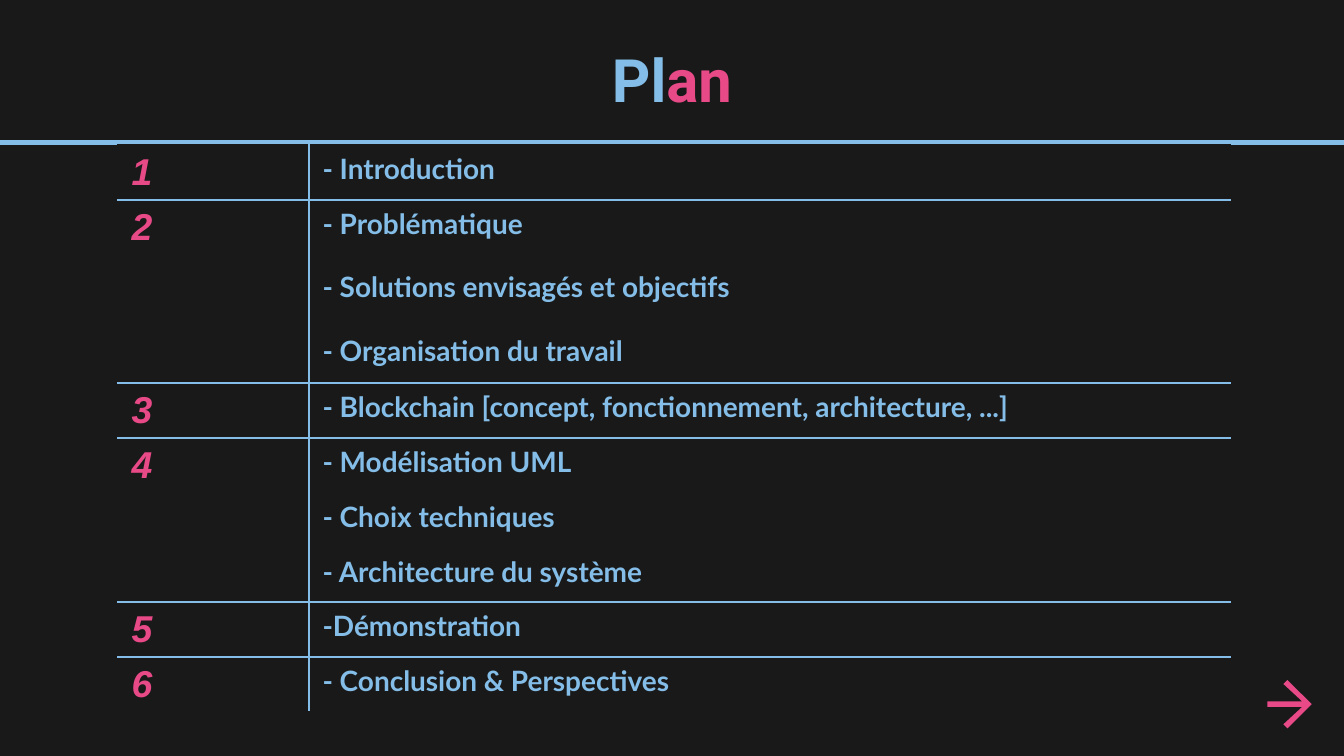
from lxml import etree
from pptx import Presentation
from pptx.dml.color import RGBColor
from pptx.enum.shapes import MSO_CONNECTOR as CONN
from pptx.enum.text import MSO_ANCHOR as ANCHOR, PP_ALIGN as ALIGN
from pptx.oxml.ns import qn
from pptx.util import Inches, Pt

DARK = RGBColor(0x19, 0x19, 0x19)
BLUE = RGBColor(0x84, 0xBD, 0xE7)
PINK = RGBColor(0xE8, 0x49, 0x87)
TITLE = dict(name="Roboto", size=Pt(32), bold=True)
NUMBER = dict(name="Arial", size=Pt(20), bold=True, italic=True)
ENTRY = dict(name="Lato", size=Pt(15), bold=True, italic=False)


def add_run(p, text, color, style):
    r = p.add_run()
    r.text = text
    for key, value in style.items():
        setattr(r.font, key, value)
    r.font.color.rgb = color


def add_border(cell, side, color):
    ln = etree.SubElement(cell._tc.get_or_add_tcPr(), qn(f"a:ln{side}"), w=str(Pt(1.47)))
    fill = etree.SubElement(ln, qn("a:solidFill"))
    etree.SubElement(fill, qn("a:srgbClr"), val=str(color))


# A 16:9 slide
prs = Presentation()
W = Inches(10)
prs.slide_width, prs.slide_height = W, W * 9 // 16
s = prs.slides.add_slide(prs.slide_layouts[5])
s.background.fill.solid()
s.background.fill.fore_color.rgb = DARK

# Rule under the title
rule = s.shapes.add_connector(CONN.STRAIGHT, Inches(-0.02), Inches(1.06), W, Inches(1.06))
rule.line.color.rgb = BLUE
rule.line.width = Pt(2.25)
etree.SubElement(rule._element.spPr, qn("a:effectLst"))

# Title
title = s.shapes.title
title.left, title.top, title.width, title.height = (
    Inches(v) for v in (0.79, 0.32, 8.42, 0.63))
tf = title.text_frame
tf.vertical_anchor = ANCHOR.BOTTOM
for side in ("left", "right", "top", "bottom"):
    setattr(tf, f"margin_{side}", Inches(0.1))
p = tf.paragraphs[0]
p.alignment = ALIGN.CENTER
add_run(p, "Pl", BLUE, TITLE)
add_run(p, "an", PINK, TITLE)

# Plan: row height, gap between entries in points, entries
plan = [
    (0.4, 0, ["- Introduction"]),
    (1.36, 16, ["- Problématique", "- Solutions envisagés et objectifs",
                "- Organisation du travail"]),
    (0.4, 0, ["- Blockchain [concept, fonctionnement, architecture, ...]"]),
    (1.22, 11.4, ["- Modélisation UML", "- Choix techniques",
                  "- Architecture du système"]),
    (0.4, 0, ["-Démonstration"]),
    (0.41, 0, ["- Conclusion & Perspectives"]),
]
cols = [1.42, 6.85]
table = s.shapes.add_table(len(plan), len(cols), Inches(0.88), Inches(1.08),
                           Inches(sum(cols)), Inches(sum(row[0] for row in plan))).table
table.first_row = table.horz_banding = False
for column, width in zip(table.columns, cols):
    column.width = Inches(width)

last = len(plan) - 1
for i, (height, gap, entries) in enumerate(plan):
    table.rows[i].height = Inches(height)
    number, content = table.cell(i, 0), table.cell(i, 1)
    add_run(number.text_frame.paragraphs[0], str(i + 1), PINK, NUMBER)
    tf = content.text_frame
    for j, entry in enumerate(entries):
        p = tf.add_paragraph() if j else tf.paragraphs[0]
        if j:
            p.space_before = Pt(gap)
        add_run(p, entry, BLUE, ENTRY)

    # Inner borders are blue, outer ones blend into the background
    for cell, left, right in ((number, DARK, BLUE), (content, BLUE, DARK)):
        add_border(cell, "L", left)
        add_border(cell, "R", right)
        add_border(cell, "T", BLUE if i else DARK)
        add_border(cell, "B", BLUE if i < last else DARK)
        cell.fill.background()

# Next arrow, symmetric about its shaft
mid = 5.24
upper = [(9.43, 0.02), (9.69, 0.02), (9.55, 0.15), (9.58, 0.18)]
points = [(x, mid - dy) for x, dy in upper] + [(9.76, mid)]
points += [(x, mid + dy) for x, dy in reversed(upper)]
outline = [(Inches(x), Inches(y)) for x, y in points]
builder = s.shapes.build_freeform(*outline[0])
builder.add_line_segments(outline[1:], close=True)
arrow = builder.convert_to_shape()
arrow.shadow.inherit = False
arrow.fill.solid()
arrow.fill.fore_color.rgb = PINK
arrow.line.fill.background()

prs.save("out.pptx")
